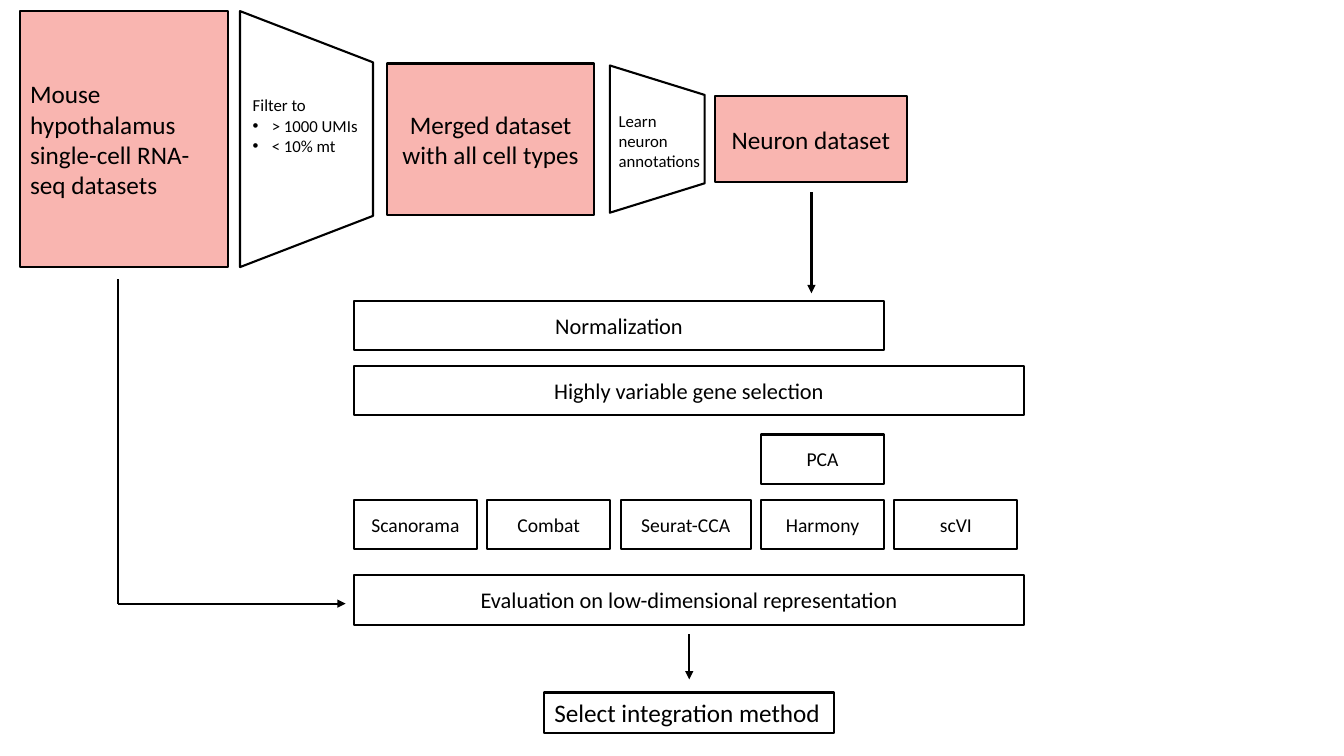
from lxml.etree import SubElement
from pptx import Presentation
from pptx.dml.color import RGBColor
from pptx.enum.shapes import MSO_CONNECTOR as Connector, MSO_SHAPE as Shape
from pptx.enum.text import MSO_ANCHOR as Anchor, PP_ALIGN as Align
from pptx.oxml.ns import qn
from pptx.util import Cm, Pt

COLORS = {"ink": "000000", "dataset": "F2483B"}
ROW_HEIGHT = 1.24


def set_format(target, values):
    for name, value in values.items():
        setattr(target, name, value)


def color(name):
    return RGBColor.from_string(COLORS[name])


def write(shape, lines, size, align=Align.LEFT, anchor=Anchor.MIDDLE, wrap=True, bullets=False):
    frame = shape.text_frame
    set_format(frame, {"text": "\n".join(lines), "word_wrap": wrap, "vertical_anchor": anchor})
    for index, paragraph in enumerate(frame.paragraphs):
        paragraph.alignment = align
        set_format(paragraph.runs[0].font, {"name": "Calibri", "size": Pt(size)})
        paragraph.runs[0].font.color.rgb = color("ink")
        if bullets and index:
            properties = paragraph._p.get_or_add_pPr()
            properties.set("marL", str(Cm(0.48)))
            properties.set("indent", str(-Cm(0.48)))
            SubElement(properties, qn("a:buFont"), typeface="Arial")
            SubElement(properties, qn("a:buChar"), char="•")


def add_outline(slide, kind, left, top, width, height):
    shape = slide.shapes.add_shape(kind, Cm(left), Cm(top), Cm(width), Cm(height))
    shape.shadow.inherit = False
    shape.fill.background()
    shape.line.color.rgb = color("ink")
    shape.line.width = Pt(1.5)
    return shape


def add_box(slide, left, top, width, height, lines, size, **text_format):
    shape = add_outline(slide, Shape.RECTANGLE, left, top, width, height)
    write(shape, lines, size, **text_format)
    return shape


def add_dataset(slide, left, middle, width, height, lines, align=Align.CENTER):
    shape = add_box(slide, left, middle - height / 2, width, height, lines, 18, align=align)
    shape.fill.solid()
    shape.fill.fore_color.rgb = color("dataset")
    fill_color = shape.fill._xPr.find(qn("a:solidFill"))[0]
    SubElement(fill_color, qn("a:alpha"), val="40000")


def add_filter(slide, left, middle, width, height, lines, label_box, bullets=False):
    shape = add_outline(slide, Shape.FLOWCHART_MANUAL_OPERATION,
                        left + (width - height) / 2, middle - width / 2, height, width)
    shape.rotation = 270
    label = slide.shapes.add_textbox(*[Cm(value) for value in label_box])
    write(label, lines, 12, anchor=Anchor.TOP, bullets=bullets)


def add_line(slide, start, end, arrow=True):
    line = slide.shapes.add_connector(Connector.STRAIGHT, *[Cm(value) for value in start + end])
    line.line.color.rgb = color("ink")
    line.line.width = Pt(1.5)
    if arrow:
        SubElement(line.line._get_or_add_ln(), qn("a:tailEnd"), type="triangle")
    SubElement(line._element.spPr, qn("a:effectLst"))


def add_filtering(slide, left, top, height):
    middle = top + height / 2
    add_dataset(slide, left, middle, 5.23, height,
                ["Mouse hypothalamus", "single-cell RNA-seq datasets"], Align.LEFT)
    add_filter(slide, left + 5.54, middle, 3.35, height,
               ["Filter to", "> 1000 UMIs", "< 10% mt"],
               (left + 5.61, middle - 1.23, 3.56, 1.8), bullets=True)
    add_dataset(slide, left + 9.24, middle, 5.23, 3.81, ["Merged dataset with all cell types"])
    add_filter(slide, left + 14.86, middle, 2.39, 3.71, ["Learn neuron annotations"],
               (left + 14.83, middle - 0.85, 2.72, 1.8))
    add_dataset(slide, left + 17.5, middle, 4.85, 2.16, ["Neuron dataset"])


def add_integration(slide, left, top, width):
    steps = [
        ("Normalization", 0, 13.36),
        ("Highly variable gene selection", 1.63, width),
        ("Evaluation on low-dimensional representation", 6.91, width),
    ]
    for name, offset, step_width in steps:
        add_box(slide, left, top + offset, step_width, ROW_HEIGHT, [name], 16, align=Align.CENTER)

    methods = [("Scanorama", 3.1), ("Combat", 3.1), ("Seurat-CCA", 3.28),
               ("Harmony", 3.1), ("scVI", 3.1)]
    method_left = left
    for name, method_width in methods:
        add_box(slide, method_left, top + 5.01, method_width, ROW_HEIGHT, [name], 14,
                align=Align.CENTER)
        if name == "Harmony":
            add_box(slide, method_left, top + 3.36, method_width, ROW_HEIGHT, ["PCA"], 14,
                    align=Align.CENTER)
        method_left += method_width + 0.26

    add_box(slide, left + 4.8, top + 9.86, 7.29, 1.02, ["Select integration method"], 18,
            anchor=Anchor.TOP, wrap=False)


def add_flow(slide, left, top):
    corner = (left, top + 8.17)
    add_line(slide, (left, top), corner, arrow=False)
    add_line(slide, corner, (left + 5.74, top + 8.17))
    add_line(slide, (left + 17.48, top - 2.19), (left + 17.48, top + 0.35))
    add_line(slide, (left + 14.4, top + 8.94), (left + 14.4, top + 10.08))


presentation = Presentation()
set_format(presentation, {"slide_width": Cm(33.87), "slide_height": Cm(19.05)})
slide = presentation.slides.add_slide(presentation.slide_layouts.get_by_name("Blank"))
add_filtering(slide, 0.51, 0.28, 6.45)
add_integration(slide, 8.92, 7.59, 16.89)
add_flow(slide, 2.97, 7.04)
presentation.save("out.pptx")
